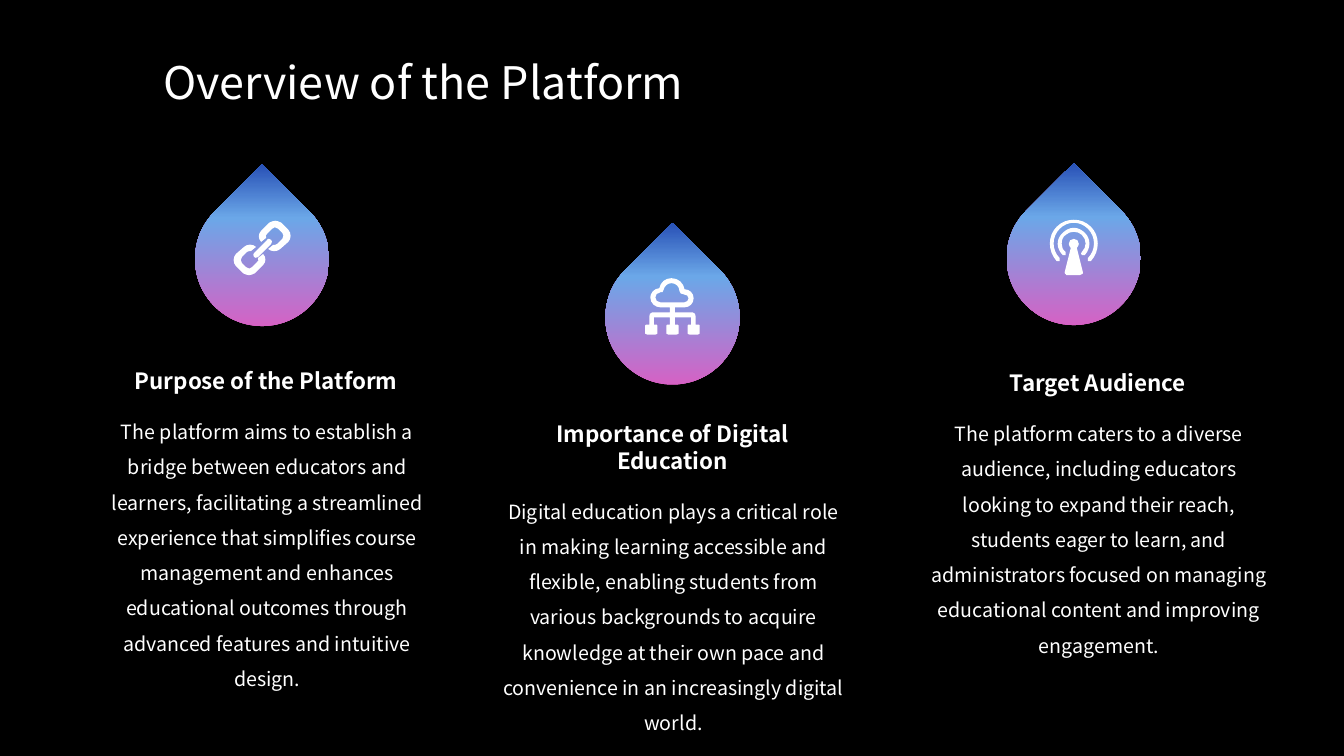
"""Build a slide with three droplet icons, each above a heading and a description."""
from copy import deepcopy

from lxml import etree
from pptx import Presentation
from pptx.dml.color import RGBColor
from pptx.enum.text import MSO_ANCHOR, MSO_AUTO_SIZE, PP_ALIGN
from pptx.oxml.ns import qn
from pptx.util import Inches, Pt

TOP, BOTTOM = MSO_ANCHOR.TOP, MSO_ANCHOR.BOTTOM
LEFT, CENTER = PP_ALIGN.LEFT, PP_ALIGN.CENTER
GROW = MSO_AUTO_SIZE.SHAPE_TO_FIT_TEXT

FONT = "Noto Sans CJK SC"
COLORS = {"background": "000000", "white": "FFFFFF",
          "pink": "DC5DC2", "sky": "6BA7E8", "blue": "2851B6"}
DROP_STOPS = [(0, "pink"), (0.68, "sky"), (1, "blue")]
SLIDE_WIDTH, SLIDE_HEIGHT = 13.33, 7.5
TITLE_BOX = (1.52, 0.49, 7.79, 0.64)
COLUMN_WIDTH, HEADING_HEIGHT, BODY_HEIGHT = 3.58, 0.37, 2.18
BODY_INDENT, BODY_OFFSET = 0.01, 0.41
DROP_DEPTH = 0.94
UNIT = 0.01
DROP = [[(-47, 47), (-73, 21, -73, -21, -47, -47), (-31, -63, -16, -78, 0, -94),
         (16, -78, 31, -63, 47, -47), (73, -21, 73, 21, 47, 47),
         (21, 73, -21, 73, -47, 47)]]


def rgb(name):
    """Return the named colour."""
    return RGBColor.from_string(COLORS[name])


def chain_icon():
    """Return the outlines of two links joined by a bar."""
    link = [(13, -27), (15, -27, 17, -26, 19, -25), (26, -18),
            (29, -15, 29, -9, 26, -6), (18, 1), (15, 4, 9, 4, 6, 1), (11, -3),
            (12, -3, 14, -3, 15, -4), (20, -9), (21, -11, 22, -13, 20, -15),
            (16, -19), (14, -21, 11, -21, 10, -19), (5, -14),
            (4, -13, 3, -12, 4, -10), (-1, -6), (-4, -9, -4, -14, -1, -17),
            (7, -25), (9, -26, 11, -27, 13, -27)]
    bar = [(7, -9), (8, -9, 8, -9, 9, -8), (10, -7, 10, -6, 9, -4), (-4, 9),
           (-6, 10, -7, 10, -8, 9), (-9, 7, -9, 6, -8, 5), (5, -8),
           (5, -9, 6, -9, 7, -9)]
    return [[tuple(-value for value in segment) for segment in link], bar, link]


def node(x):
    """Return the segments of one rounded node of the cloud's tree."""
    return [(x - 4, 18), (x - 5, 18, x - 6, 18, x - 6, 19), (x - 6, 27),
            (x - 6, 27, x - 5, 28, x - 4, 28), (x + 4, 28),
            (x + 5, 28, x + 6, 27, x + 6, 27), (x + 6, 19),
            (x + 6, 18, x + 5, 18, x + 4, 18)]


def cloud_icon():
    """Return the outlines of a cloud above a tree with three nodes."""
    outer = [(25, 18), (23, 18), (23, 10), (23, 8, 22, 6, 20, 6), (2.5, 6), (2.5, 1),
             (4, 1, 6, 1, 7, 1), (10, 1, 12, 1, 12, 1), (17, 1, 21, -3, 21, -8),
             (21, -13, 17, -17, 12, -17), (11, -23, 6, -28, -1, -28),
             (-7, -28, -12, -24, -13, -18), (-18, -18, -22, -13, -22, -9),
             (-22, -3, -17, 1, -12, 1), (-2.5, 1), (-2.5, 6), (-20, 6),
             (-22, 6, -23, 8, -23, 10), (-23, 18), *node(-21),
             (-18.5, 18), (-18.5, 11), (-2.5, 11), (-2.5, 18), *node(0),
             (2.5, 18), (2.5, 11), (18.5, 11), (18.5, 18), *node(21)]
    inner = [(-17, -9), (-17, -11, -15, -14, -12, -14), (-10, -14, -9, -14, -9, -16),
             (-8, -20, -5, -23, -1, -23), (3, -23, 7, -20, 7, -15),
             (7, -13, 9, -12, 11, -12), (14, -12, 16, -10, 16, -8),
             (16, -6, 14, -4, 12, -4), (12, -4, 9, -4, 7, -4),
             (4, -4, 2, -4, 2, -4), (-12, -4), (-15, -4, -17, -6, -17, -9)]
    return [outer, inner]


def broadcast_icon():
    """Return the outlines of a mast with two open rings around its head."""
    mast = [(0, -5), (3, -5, 5, -3, 5, 0), (5, 1, 4, 3, 3, 4), (9, 28),
            (9, 29, 9, 30, 8, 30), (7, 31, 7, 31, 6, 31), (-6, 31),
            (-7, 31, -8, 31, -8, 30), (-9, 30, -9, 29, -9, 28), (-3, 4),
            (-4, 3, -5, 1, -5, 0), (-5, -3, -3, -5, 0, -5)]
    small = [(0, -16), (4, -16, 8, -14, 11, -11), (17, -5, 17, 4, 11, 11),
             (10, 11, 9, 11, 8, 11), (7, 10, 7, 9, 8, 8), (13, 3, 13, -4, 8, -9),
             (6, -11, 3, -12, 0, -12), (-3, -12, -6, -11, -8, -9),
             (-11, -7, -12, -4, -12, 0), (-12, 3, -11, 6, -8, 8),
             (-8, 9, -8, 10, -8, 11), (-9, 11, -10, 11, -11, 11),
             (-14, 8, -16, 4, -16, 0), (-16, -5, -14, -8, -11, -11),
             (-8, -14, -4, -16, 0, -16)]
    large = [(0, -24), (6, -24, 12, -22, 17, -17), (26, -8, 26, 7, 17, 17),
             (16, 17, 15, 17, 14, 17), (14, 16, 14, 15, 14, 14),
             (22, 6, 22, -7, 14, -15), (6, -23, -6, -23, -14, -15),
             (-22, -7, -22, 6, -14, 14), (-14, 15, -14, 16, -14, 17),
             (-15, 17, -16, 17, -17, 17), (-26, 7, -26, -8, -17, -17),
             (-12, -22, -6, -24, 0, -24)]
    return [mast, small, large]


def bend(shape, segments):
    """Merge each group of three lines that stands for a curve into that curve."""
    lines = iter(shape._element.spPr.findall(".//" + qn("a:lnTo")))
    for segment in segments:
        group = [next(lines) for _ in range(len(segment) // 2)]
        if len(group) == 3:
            curve = etree.Element(qn("a:cubicBezTo"))
            group[0].addprevious(curve)
            for line in group:
                curve.append(line[0])
                line.getparent().remove(line)


def add_outline(slide, contours, x, y):
    """Draw contours of lines and curves around a centre and return the shape."""
    placed = [[(Inches(x + segment[i] * UNIT), Inches(y + segment[i + 1] * UNIT))
               for segment in contour for i in range(0, len(segment), 2)]
              for contour in contours]
    builder = slide.shapes.build_freeform(*placed[0][0])
    builder.add_line_segments(placed[0][1:], close=True)
    for points in placed[1:]:
        builder.move_to(*points[0])
        builder.add_line_segments(points[1:], close=True)
    shape = builder.convert_to_shape()
    bend(shape, [segment for contour in contours for segment in contour[1:]])
    shape.shadow.inherit = False
    shape.line.fill.background()
    return shape


def add_drop(slide, x, tip, icon, rise):
    """Draw a gradient droplet below its tip, with a white icon inside."""
    center = tip + DROP_DEPTH
    drop = add_outline(slide, DROP, x, center)
    fill = drop.fill
    fill.gradient()
    fill.gradient_angle = 90
    stops = drop._element.spPr.find(".//" + qn("a:gsLst"))
    stops.append(deepcopy(stops[0]))
    for stop, (position, color) in zip(fill.gradient_stops, DROP_STOPS):
        stop.position = position
        stop.color.rgb = rgb(color)
    symbol = add_outline(slide, icon, x, center - rise)
    symbol.fill.solid()
    symbol.fill.fore_color.rgb = rgb("white")


def write_text(shape, text, size, align=CENTER, anchor=TOP, bold=False, spacing=1):
    """Fill a text shape with one formatted paragraph."""
    frame = shape.text_frame
    frame.text = text
    frame.word_wrap = True
    frame.auto_size = GROW
    frame.vertical_anchor = anchor
    paragraph = frame.paragraphs[0]
    paragraph.alignment = align
    paragraph.line_spacing = spacing
    font = paragraph.font
    font.name, font.size, font.bold = FONT, Pt(size), bold
    font.color.rgb = rgb("white")


def add_title(slide, box, text):
    """Place the slide title in the given box."""
    title = slide.shapes.title
    title.left, title.top, title.width, title.height = map(Inches, box)
    write_text(title, text, 32, align=LEFT)


def add_topic(slide, left, top, heading, body):
    """Place a heading and its description from the given corner."""
    heading_box = slide.shapes.add_textbox(
        *map(Inches, (left, top, COLUMN_WIDTH, HEADING_HEIGHT)))
    write_text(heading_box, heading, 16, anchor=BOTTOM, bold=True)
    body_box = slide.shapes.add_textbox(
        *map(Inches, (left + BODY_INDENT, top + BODY_OFFSET, COLUMN_WIDTH, BODY_HEIGHT)))
    write_text(body_box, body, 14, spacing=1.5)


def main():
    """Build and save the presentation."""
    presentation = Presentation()
    presentation.slide_width = Inches(SLIDE_WIDTH)
    presentation.slide_height = Inches(SLIDE_HEIGHT)
    slide = presentation.slides.add_slide(presentation.slide_layouts[5])
    slide.background.fill.solid()
    slide.background.fill.fore_color.rgb = rgb("background")
    add_title(slide, TITLE_BOX, "Overview of the Platform")
    topics = [
        ((2.6, 1.63, chain_icon(), 0.11), (0.85, 3.59), "Purpose of the Platform",
         "The platform aims to establish a bridge between educators and learners, "
         "facilitating a streamlined experience that simplifies course management and "
         "enhances educational outcomes through advanced features and intuitive design."),
        ((6.67, 2.21, cloud_icon(), 0.11), (4.88, 4.38), "Importance of Digital Education",
         "Digital education plays a critical role in making learning accessible and "
         "flexible, enabling students from various backgrounds to acquire knowledge at "
         "their own pace and convenience in an increasingly digital world."),
        ((10.65, 1.62, broadcast_icon(), 0.14), (9.1, 3.61), "Target Audience",
         "The platform caters to a diverse audience, including educators looking to "
         "expand their reach, students eager to learn, and administrators focused on "
         "managing educational content and improving engagement."),
    ]
    for drop, corner, heading, body in topics:
        add_drop(slide, *drop)
        add_topic(slide, *corner, heading, body)
    presentation.save("out.pptx")


if __name__ == "__main__":
    main()
